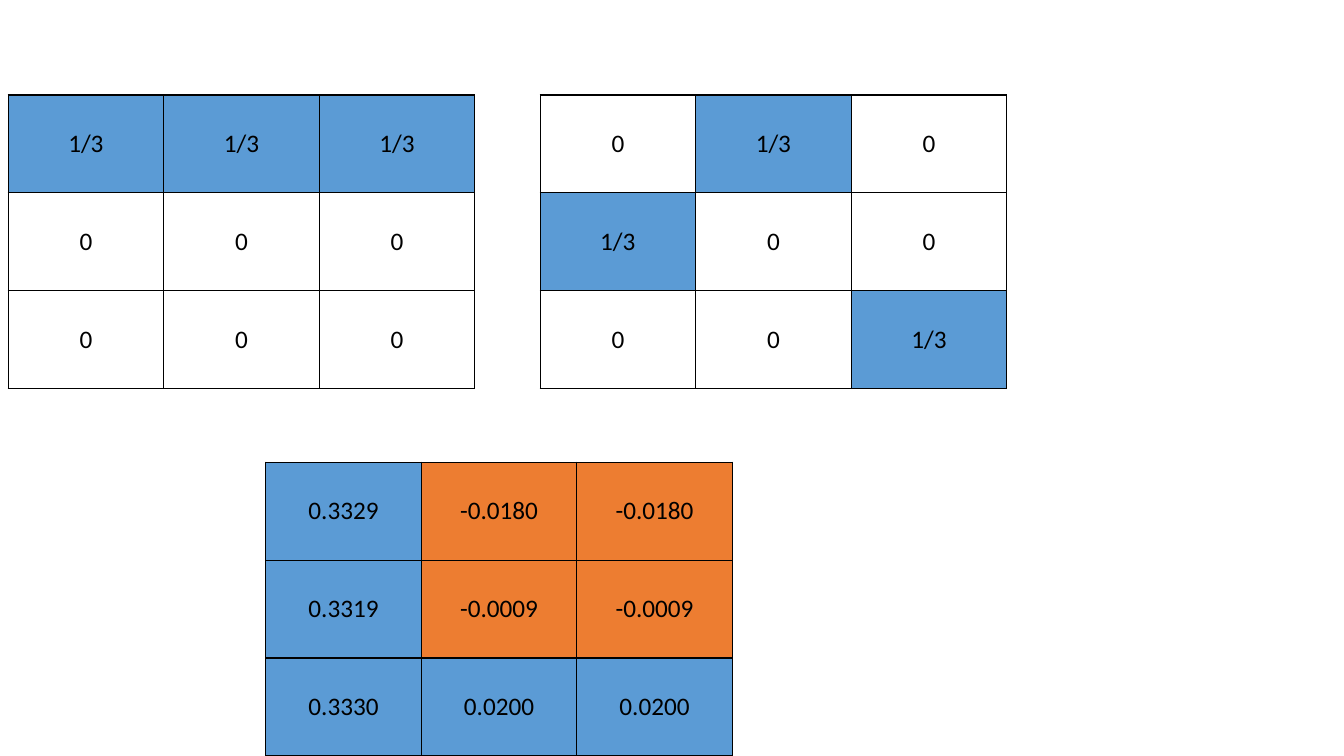
import pptx
import pptx.dml.color
import pptx.enum.text
import pptx.oxml
import pptx.oxml.ns
import pptx.util

Pt = pptx.util.Pt
RGB = pptx.dml.color.RGBColor

# Content: left, top and values of each 3 x 3 kernel
KERNELS = [
    (5.8, 67.8, [("1/3", "1/3", "1/3"),
                 ("0", "0", "0"),
                 ("0", "0", "0")]),
    (385.8, 67.8, [("0", "1/3", "0"),
                   ("1/3", "0", "0"),
                   ("0", "0", "1/3")]),
    (189.8, 330.2, [("0.3329", "-0.0180", "-0.0180"),
                    ("0.3319", "-0.0009", "-0.0009"),
                    ("0.3330", "0.0200", "0.0200")]),
]

# Style
BLUE = RGB(0x5B, 0x9B, 0xD5)
ORANGE = RGB(0xED, 0x7D, 0x31)
WHITE = RGB(0xFF, 0xFF, 0xFF)
BLACK = RGB(0, 0, 0)
CELL_W, CELL_H = 111.1, 69.9
FONT, SIZE, BORDER = "Calibri", 18, 1


def get_fill(text):
    """Blue for positive weights, orange for negative, white for zero."""
    if text == "0":
        return WHITE
    return ORANGE if text.startswith("-") else BLUE


def add_border(cell):
    props = cell._tc.get_or_add_tcPr()
    for place, side in enumerate(("lnL", "lnR", "lnT", "lnB")):
        line = pptx.oxml.parse_xml(
            f'<a:{side} {pptx.oxml.ns.nsdecls("a")} w="{Pt(BORDER)}">'
            f'<a:solidFill><a:srgbClr val="{BLACK}"/></a:solidFill></a:{side}>')
        props.insert(place, line)


def set_cell(cell, text):
    cell.text = text
    cell.vertical_anchor = pptx.enum.text.MSO_ANCHOR.MIDDLE
    cell.fill.solid()
    cell.fill.fore_color.rgb = get_fill(text)
    para = cell.text_frame.paragraphs[0]
    para.alignment = pptx.enum.text.PP_ALIGN.CENTER
    para.font.name, para.font.size = FONT, Pt(SIZE)
    para.font.color.rgb = BLACK
    para.font.bold = False
    add_border(cell)


def add_kernel(slide, left, top, rows):
    count, width = len(rows), len(rows[0])
    table = slide.shapes.add_table(
        count, width, Pt(left), Pt(top),
        Pt(width * CELL_W), Pt(count * CELL_H)).table
    table.first_row = table.horz_banding = False
    for col in table.columns:
        col.width = Pt(CELL_W)
    for r, row in enumerate(rows):
        table.rows[r].height = Pt(CELL_H)
        for c, text in enumerate(row):
            set_cell(table.cell(r, c), text)


def main():
    deck = pptx.Presentation()
    deck.slide_width, deck.slide_height = Pt(960), Pt(540)
    slide = deck.slides.add_slide(deck.slide_layouts[6])
    for left, top, rows in KERNELS:
        add_kernel(slide, left, top, rows)
    deck.save("out.pptx")


if __name__ == "__main__":
    main()
